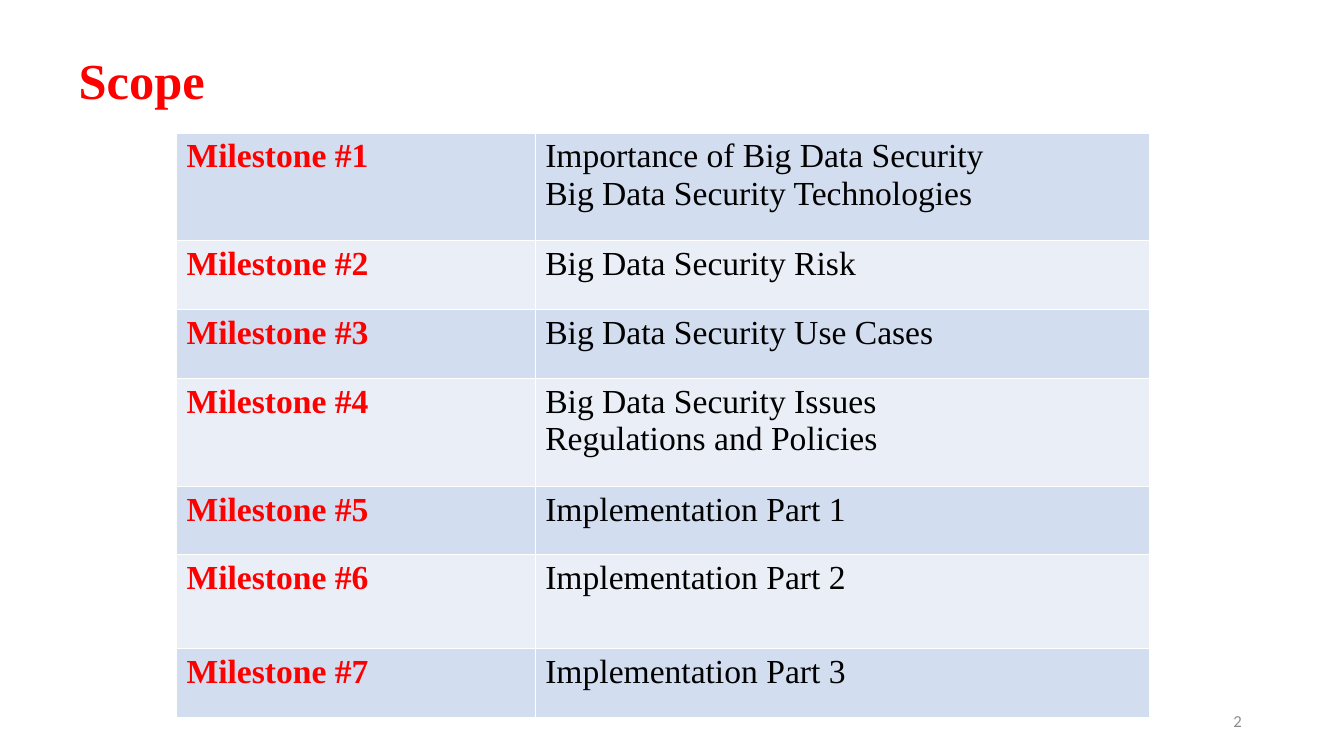
from dataclasses import dataclass

from lxml import etree
from pptx import Presentation
from pptx.dml.color import RGBColor
from pptx.enum import text as tx
from pptx.oxml import ns
from pptx.util import Cm, Pt

RED = RGBColor(0xFF, 0x00, 0x00)
BLACK = RGBColor(0x00, 0x00, 0x00)
WHITE = RGBColor(0xFF, 0xFF, 0xFF)
GRAY = RGBColor(0x8C, 0x8C, 0x8C)
BANDS = (RGBColor(0xD2, 0xDE, 0xEF), RGBColor(0xEA, 0xEF, 0xF7))
SERIF = "Times New Roman"
SANS = "Calibri"


@dataclass
class Stage:
    topics: list[str]
    height: float = 1.73


STAGES = [
    Stage(["Importance of Big Data Security", "Big Data Security Technologies"], 2.72),
    Stage(["Big Data Security Risk"]),
    Stage(["Big Data Security Use Cases"]),
    Stage(["Big Data Security Issues", "Regulations and Policies"], 2.72),
    Stage(["Implementation Part 1"]),
    Stage(["Implementation Part 2"], 2.36),
    Stage(["Implementation Part 3"]),
]
WIDTHS = (9.04, 15.49)


def write(frame, lines: list[str], font: str, size: int, color: RGBColor,
          bold: bool = False, align=tx.PP_ALIGN.LEFT) -> None:
    """Put one paragraph per line into a text frame."""
    for i, line in enumerate(lines):
        para = frame.add_paragraph() if i else frame.paragraphs[0]
        para.alignment = align
        run = para.add_run()
        run.text = line
        run.font.name = font
        run.font.size = Pt(size)
        run.font.bold = bold
        run.font.color.rgb = color


def edge(cell) -> None:
    """Give a cell thin white borders, which must precede its fill."""
    props = cell._tc.get_or_add_tcPr()
    for side in ("a:lnL", "a:lnR", "a:lnT", "a:lnB"):
        line = etree.SubElement(props, ns.qn(side), w=str(Pt(1)))
        fill = etree.SubElement(line, ns.qn("a:solidFill"))
        etree.SubElement(fill, ns.qn("a:srgbClr"), val=str(WHITE))


def draw_cell(cell, lines: list[str], color: RGBColor, bold: bool, band: RGBColor) -> None:
    edge(cell)
    cell.fill.solid()
    cell.fill.fore_color.rgb = band
    write(cell.text_frame, lines, SERIF, 24, color, bold)


def draw_table(slide, stages: list[Stage]) -> None:
    total = sum(stage.height for stage in stages)
    table = slide.shapes.add_table(len(stages), len(WIDTHS), Cm(4.45), Cm(3.35),
                                   Cm(sum(WIDTHS)), Cm(total)).table
    table.first_row = False
    for col, width in zip(table.columns, WIDTHS):
        col.width = Cm(width)
    for i, stage in enumerate(stages):
        table.rows[i].height = Cm(stage.height)
        band = BANDS[i % 2]
        draw_cell(table.cell(i, 0), [f"Milestone #{i + 1}"], RED, True, band)
        draw_cell(table.cell(i, 1), stage.topics, BLACK, False, band)


def main() -> None:
    prs = Presentation()
    prs.slide_width, prs.slide_height = Cm(33.87), Cm(19.05)
    slide = prs.slides.add_slide(prs.slide_layouts[5])

    # Title
    title = slide.shapes.title
    title.left, title.top = Cm(1.73), Cm(1.09)
    title.width, title.height = Cm(23.67), Cm(1.8)
    title.text_frame.vertical_anchor = tx.MSO_ANCHOR.MIDDLE
    write(title.text_frame, ["Scope"], SERIF, 36, RED, True)

    # Milestones
    draw_table(slide, STAGES)

    # Page number
    page = slide.shapes.add_textbox(Cm(23.93), Cm(17.65), Cm(7.62), Cm(1.02))
    page.text_frame.word_wrap = True
    page.text_frame.vertical_anchor = tx.MSO_ANCHOR.MIDDLE
    write(page.text_frame, ["2"], SANS, 12, GRAY, align=tx.PP_ALIGN.RIGHT)

    prs.save("out.pptx")


if __name__ == "__main__":
    main()
